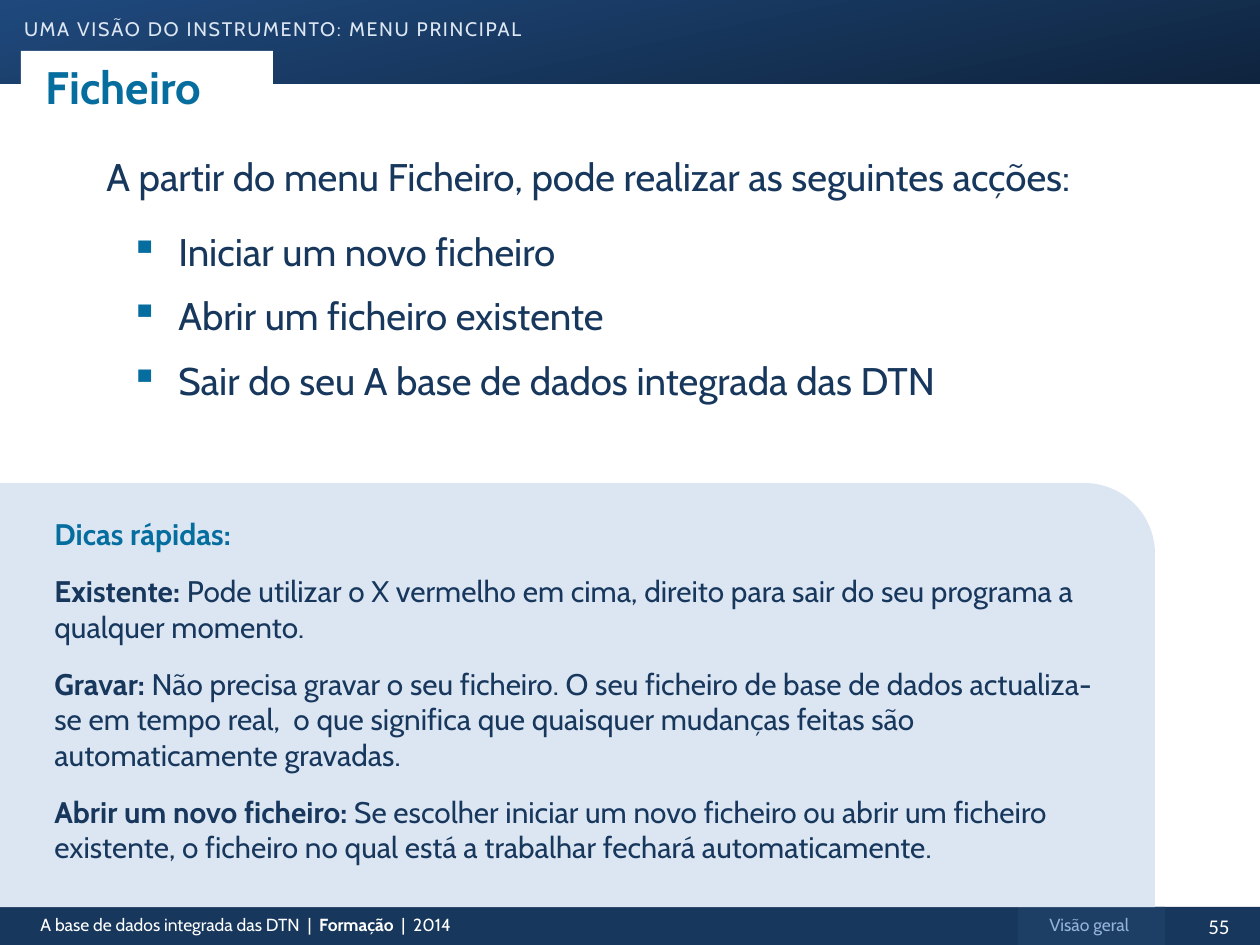
from lxml import etree
from pptx import Presentation, util as u
from pptx.dml.color import RGBColor
from pptx.enum import shapes, text
from pptx.oxml import ns

EMU_PER_PX = 914400 / 126
WIDTH, HEIGHT = 1260, 945
COLORS = {
    "white": "FFFFFF", "navy": "17375D", "teal": "066E9F", "pale": "DCE6F2",
    "tab": "1E3F65", "tab_text": "95B3D7", "grad_start": "1F497D", "grad_end": "0F243E",
}
LEFT, CENTER = text.PP_ALIGN.LEFT, text.PP_ALIGN.CENTER


def px(value):
    return u.Emu(round(value * EMU_PER_PX))


def rgb(name):
    return RGBColor.from_string(COLORS[name])


def set_all(target, values):
    for name, value in values.items():
        setattr(target, name, value)


def add_block(page, kind, box, color):
    block = page.shapes.add_shape(kind, *map(px, box))
    block.shadow.inherit = False
    block.line.fill.background()
    block.fill.solid()
    block.fill.fore_color.rgb = rgb(color)
    return block


def write(frame, paras, size, color, font="Cabin", align=LEFT, **frame_format):
    """Fill a frame; each paragraph is (spans, format), each span (words, format)."""
    set_all(frame, {"word_wrap": True, **frame_format})
    for index, (spans, para_format) in enumerate(paras):
        para = frame.paragraphs[0] if index == 0 else frame.add_paragraph()
        set_all(para, {"alignment": align, **para_format})
        for words, span_format in spans:
            span = para.add_run()
            span.text = words
            span.font.color.rgb = rgb(color)
            set_all(span.font, {"name": font, "size": u.Pt(size), "bold": False})
            for name, value in span_format.items():
                if name == "color":
                    span.font.color.rgb = rgb(value)
                else:
                    setattr(span.font, name, value)
    return frame


def add_text(page, box, paras, size, color, **options):
    frame = page.shapes.add_textbox(*map(px, box)).text_frame
    return write(frame, paras, size, color, **options)


def plain(words, **para_format):
    return [(words, {})], para_format


def set_indent(para, margin, hanging, bullet=None):
    """Hang the first line and, if asked, put a coloured bullet in front."""
    props = para._p.get_or_add_pPr()
    props.set("marL", str(px(margin)))
    props.set("indent", str(-px(hanging)))
    if bullet:
        color = etree.SubElement(props, ns.qn("a:buClr"))
        etree.SubElement(color, ns.qn("a:srgbClr"), val=COLORS["teal"])
        etree.SubElement(props, ns.qn("a:buChar"), char=bullet)


def add_header(page, box, section, title):
    left, top, width, height = box
    band = add_block(page, shapes.MSO_SHAPE.RECTANGLE, box, "grad_start")
    band.fill.gradient()
    band.fill.gradient_angle = 360 - 78
    for stop, name in zip(band.fill.gradient_stops, ("grad_start", "grad_end")):
        stop.color.rgb = rgb(name)

    frame = add_text(page, (left + 24, top + 6, 523, 43), [plain(section)], 14, "pale",
                     margin_left=0, margin_right=0, word_wrap=False)
    props = frame.paragraphs[0].runs[0].font._element
    props.set("cap", "small")
    props.set("spc", "100")

    tab = add_block(page, shapes.MSO_SHAPE.ROUND_2_SAME_RECTANGLE,
                    (left + 21, top + 51, 252, 70), "white")
    tab.adjustments[0] = 0
    write(tab.text_frame, [([(title, {"bold": True})], {})], 26, "teal",
          margin_left=px(25), margin_right=px(25), word_wrap=False,
          vertical_anchor=text.MSO_ANCHOR.MIDDLE)


def add_actions(page, box, intro, actions):
    before = u.Pt(4.4)
    paras = [plain(intro, space_before=before, space_after=u.Pt(12))]
    paras += [plain(action, space_before=before, space_after=u.Pt(6)) for action in actions]
    frame = add_text(page, box, paras, 22, "navy")
    first, *rest = frame.paragraphs
    set_indent(first, 48, 48)
    for para in rest:
        set_indent(para, 72, 48, "▪")


def add_tips(page, box, heading, tips):
    left, top, width, height = box
    add_block(page, shapes.MSO_SHAPE.ROUND_1_RECTANGLE, box, "pale")
    after = {"space_after": u.Pt(12)}
    paras = [([(heading, {"bold": True, "color": "teal"})], after)]
    paras += [([(label + " ", {"bold": True}), (tip, {})], after) for label, tip in tips]
    add_text(page, (left + 42, top + 27, 1081, 411), paras, 17, "navy")


def add_footer(page, box, spans, chapter, number):
    left, top, width, height = box
    rectangle = shapes.MSO_SHAPE.RECTANGLE
    add_block(page, rectangle, box, "navy")
    add_block(page, rectangle, (left + 1018, top, 147, height), "tab")
    add_text(page, (left + 28, top + 1, 571, 34), [(spans, {})], 10, "white")
    add_text(page, (left + 1018, top + 1, 142, 34), [plain(chapter)], 10, "tab_text",
             align=CENTER)
    add_text(page, (left + 1178, top, 82, height), [plain(number)], 12, "white",
             font="Calibri", align=CENTER)


def main():
    deck = Presentation()
    set_all(deck, {"slide_width": px(WIDTH), "slide_height": px(HEIGHT)})
    page = deck.slides.add_slide(deck.slide_layouts[6])
    add_header(page, (0, 0, WIDTH, 84),
               "uma visão do instrumento: menu principal", "Ficheiro")
    add_footer(page, (0, 907, WIDTH, 38),
               [("A base de dados integrada das DTN  |  ", {}),
                ("Formação  ", {"bold": True}), ("|  2014", {})],
               "Visão geral", "55")
    add_actions(page, (94, 147, 1081, 624),
                "A partir do menu Ficheiro, pode realizar as seguintes acções:",
                ["Iniciar um novo ficheiro", "Abrir um ficheiro existente",
                 "Sair do seu A base de dados integrada das DTN"])
    add_tips(page, (0, 483, 1155, 424), "Dicas rápidas:", [
        ("Existente:", "Pode utilizar o X vermelho em cima, direito para sair do seu "
                       "programa a qualquer momento."),
        ("Gravar:", "Não precisa gravar o seu ficheiro. O seu ficheiro de base de dados "
                    "actualiza-se em tempo real,  o que significa que quaisquer mudanças "
                    "feitas são automaticamente gravadas."),
        ("Abrir um novo ficheiro:", "Se escolher iniciar um novo ficheiro ou abrir um "
                                    "ficheiro existente, o ficheiro no qual está a "
                                    "trabalhar fechará automaticamente."),
    ])
    deck.save("out.pptx")


if __name__ == "__main__":
    main()
